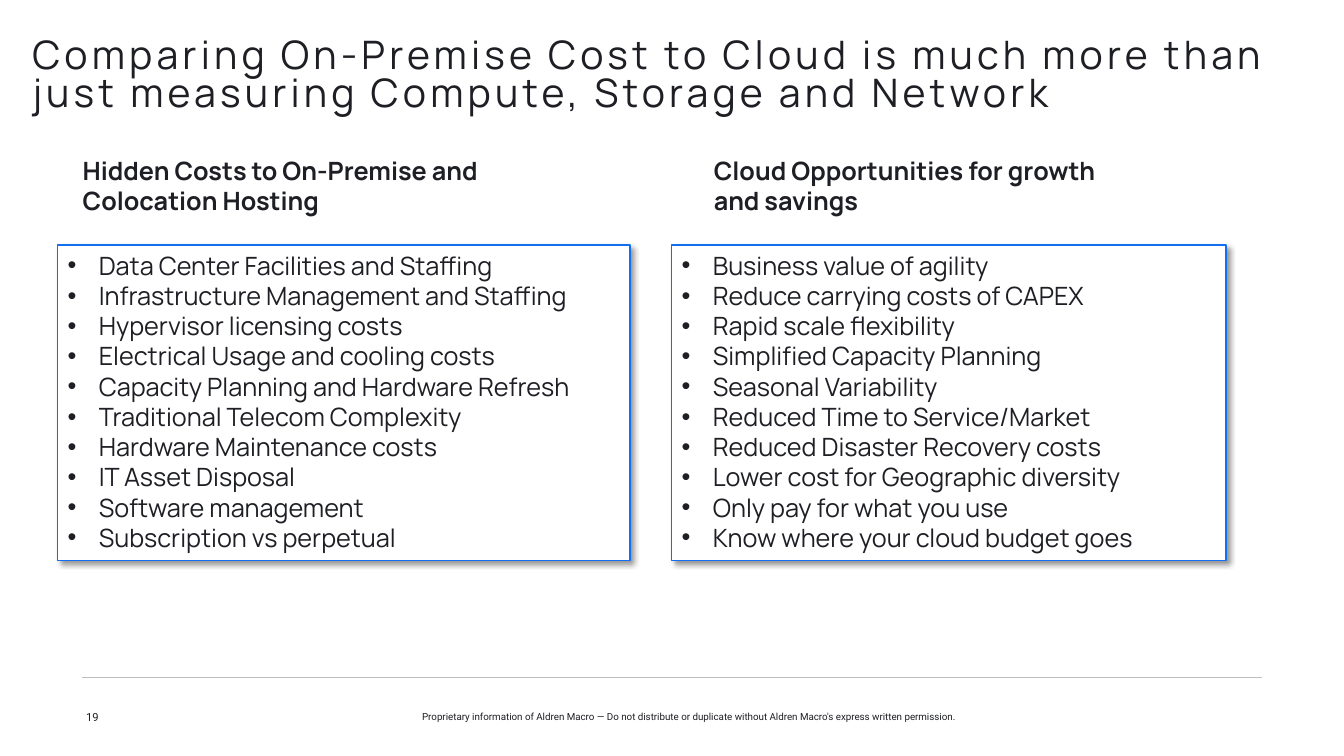
import pptx
import pptx.dml.color
import pptx.enum.text
import pptx.oxml
import pptx.oxml.ns
import pptx.util
from pptx.util import Inches

COLORS = {"ink": "1E1F24", "panel": "FFFFFF", "border": "136FEF",
          "rule": "BFBFBF", "shadow": "000000"}
ANCHOR = pptx.enum.text.MSO_ANCHOR
ALIGN = pptx.enum.text.PP_ALIGN
DRAWING_NS = pptx.oxml.ns.nsdecls("a")

TITLE = ("Comparing On-Premise Cost to Cloud is much more than "
         "just measuring Compute, Storage and Network")
NOTICE = ("Proprietary information of Aldren Macro — Do not distribute or "
          "duplicate without Aldren Macro's express written permission.")
COLUMNS = [
    {
        "heading": "Hidden Costs to On-Premise and Colocation Hosting",
        "heading_left": 0.72,
        "panel_left": 0.57,
        "panel_width": 5.68,
        "points": [
            "Data Center Facilities and Staffing",
            "Infrastructure Management and Staffing",
            "Hypervisor licensing costs",
            "Electrical Usage and cooling costs",
            "Capacity Planning and Hardware Refresh",
            "Traditional Telecom Complexity",
            "Hardware Maintenance costs",
            "IT Asset Disposal",
            "Software management",
            "Subscription vs perpetual",
        ],
    },
    {
        "heading": "Cloud Opportunities for growth and savings",
        "heading_left": 6.98,
        "panel_left": 6.66,
        "panel_width": 5.5,
        "points": [
            "Business value of agility",
            "Reduce carrying costs of CAPEX",
            "Rapid scale flexibility",
            "Simplified Capacity Planning",
            "Seasonal Variability",
            "Reduced Time to Service/Market",
            "Reduced Disaster Recovery costs",
            "Lower cost for Geographic diversity",
            "Only pay for what you use",
            "Know where your cloud budget goes",
        ],
    },
]


def rgb(name):
    return pptx.dml.color.RGBColor.from_string(COLORS[name])


def place(shape, left, top, width, height):
    shape.left, shape.top = Inches(left), Inches(top)
    shape.width, shape.height = Inches(width), Inches(height)


def prepare_frame(shape, anchor=ANCHOR.TOP, margins=(0.1, 0.05, 0.1, 0.05)):
    """Set wrapping, anchor and margins (left, top, right, bottom)."""
    frame = shape.text_frame
    frame.word_wrap = True
    frame.auto_size = pptx.enum.text.MSO_AUTO_SIZE.NONE
    frame.vertical_anchor = anchor
    (frame.margin_left, frame.margin_top,
     frame.margin_right, frame.margin_bottom) = map(Inches, margins)
    return frame


def write(paragraph, text, size, font="Manrope", bold=False, align=ALIGN.LEFT):
    paragraph.alignment = align
    paragraph.space_before = pptx.util.Pt(0)
    run = paragraph.add_run()
    run.text = text
    run.font.name = font
    run.font.size = pptx.util.Pt(size)
    run.font.bold = bold
    run.font.color.rgb = rgb("ink")
    return run


def set_bullet(paragraph, indent=0.31):
    properties = paragraph._p.get_or_add_pPr()
    properties.set("marL", str(Inches(indent)))
    properties.set("indent", str(-Inches(indent)))
    for tag in ('buFont {} typeface="Arial"', 'buChar {} char="•"'):
        properties.append(pptx.oxml.parse_xml(f"<a:{tag.format(DRAWING_NS)}/>"))


def add_effects(shape, effect=""):
    shape._element.spPr.append(pptx.oxml.parse_xml(
        f"<a:effectLst {DRAWING_NS}>{effect}</a:effectLst>"))


def fill_title(title, box):
    place(title, *box)
    paragraph = prepare_frame(title, margins=(0, 0.21, 0, 0)).paragraphs[0]
    paragraph.line_spacing = 0.8
    run = write(paragraph, TITLE, 28)
    run.font._element.set("spc", "300")


def fill_heading(heading, text, box):
    place(heading, *box)
    write(prepare_frame(heading).paragraphs[0], text, 18, bold=True)


def fill_panel(panel, points, box):
    """Bordered, shadowed box holding a bulleted list."""
    place(panel, *box)
    panel.fill.solid()
    panel.fill.fore_color.rgb = rgb("panel")
    panel.line.color.rgb = rgb("border")
    panel.line.width = pptx.util.Pt(1)
    add_effects(panel, (
        f'<a:outerShdw blurRad="{pptx.util.Pt(4)}" dist="{pptx.util.Pt(3)}" '
        f'dir="2700000" algn="tl" rotWithShape="0">'
        f'<a:srgbClr val="{COLORS["shadow"]}"><a:alpha val="40000"/>'
        f'</a:srgbClr></a:outerShdw>'))
    frame = prepare_frame(panel)
    for number, point in enumerate(points):
        paragraph = frame.add_paragraph() if number else frame.paragraphs[0]
        set_bullet(paragraph)
        write(paragraph, point, 18)


def add_footer(slide, left, top, width):
    rule = slide.shapes.add_connector(
        pptx.enum.shapes.MSO_CONNECTOR.STRAIGHT,
        Inches(left), Inches(top), Inches(left + width), Inches(top))
    rule.line.color.rgb = rgb("rule")
    rule.line.width = pptx.util.Pt(0.5)
    add_effects(rule)
    for text, size, align, offset, label_width in (
            ("19", 8, ALIGN.RIGHT, -0.21, 0.38),
            (NOTICE, 7, ALIGN.CENTER, 3.28, 5.48)):
        label = slide.shapes.add_textbox(
            Inches(left + offset), Inches(top + 0.27),
            Inches(label_width), Inches(0.24))
        frame = prepare_frame(label, ANCHOR.MIDDLE, (0, 0, 0, 0))
        write(frame.paragraphs[0], text, size, font="Roboto", align=align)


def build_comparison(presentation):
    slide = presentation.slides.add_slide(
        presentation.slide_layouts.get_by_name("Comparison"))
    add_footer(slide, 0.81, 6.72, 11.71)
    fill_title(slide.shapes.title, (0.32, 0.18, 12.62, 0.54))
    _, *bodies = slide.placeholders
    for column, heading, panel in zip(COLUMNS, bodies[::2], bodies[1::2]):
        fill_heading(heading, column["heading"],
                     (column["heading_left"], 1.49, 4.26, 0.71))
        fill_panel(panel, column["points"],
                   (column["panel_left"], 2.43, column["panel_width"], 3.13))


def main():
    presentation = pptx.Presentation()
    presentation.slide_width = Inches(13.33)
    presentation.slide_height = Inches(7.5)
    build_comparison(presentation)
    presentation.save("out.pptx")


if __name__ == "__main__":
    main()
